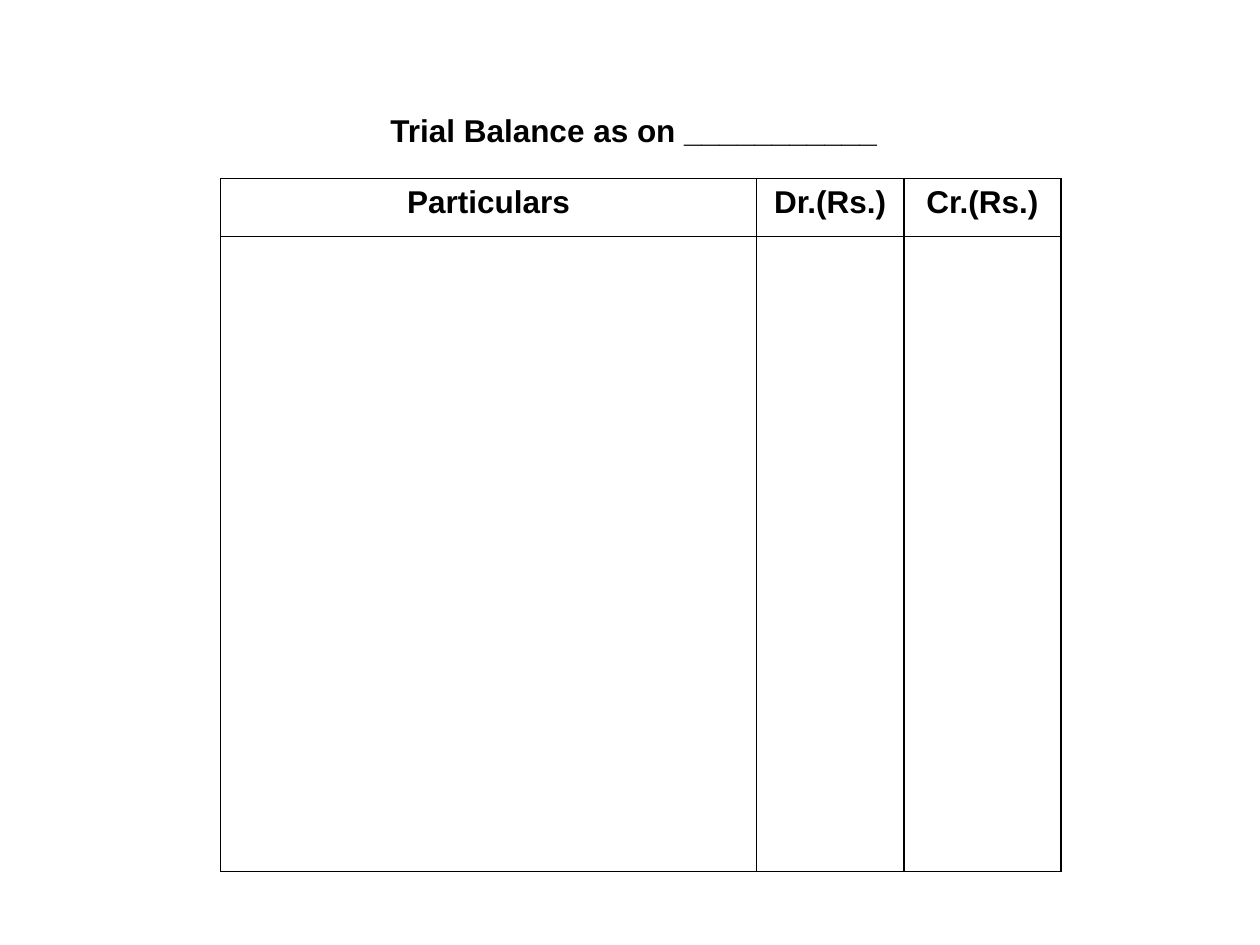
import pptx
import pptx.dml.color
import pptx.enum.text
import pptx.oxml
import pptx.oxml.ns
import pptx.util
from pptx.util import Cm

BLACK = pptx.dml.color.RGBColor(0, 0, 0)
FONT = "Arial"
HEADINGS = ["Particulars", "Dr.(Rs.)", "Cr.(Rs.)"]
COLUMN_WIDTHS = [Cm(10.8), Cm(2.97), Cm(3.17)]
ROW_HEIGHTS = [Cm(1.17), Cm(12.8)]


def write_text(frame, text, size=18, bold=True, color=BLACK, align=None):
    para = frame.paragraphs[0]
    para.alignment = align
    span = para.add_run()
    span.text = text
    span.font.name = FONT
    span.font.size = pptx.util.Pt(size)
    span.font.bold = bold
    span.font.color.rgb = color


def set_borders(cell, color=BLACK, points=1):
    properties = cell._tc.get_or_add_tcPr()
    for position, side in enumerate(("lnL", "lnR", "lnT", "lnB")):
        border = pptx.oxml.parse_xml(
            f'<a:{side} {pptx.oxml.ns.nsdecls("a")} w="{pptx.util.Pt(points)}">'
            f'<a:solidFill><a:srgbClr val="{color}"/></a:solidFill></a:{side}>'
        )
        properties.insert(position, border)


def add_title(page, text):
    box = page.shapes.add_textbox(Cm(7.62), Cm(2.12), Cm(10.41), Cm(1.02))
    box.text_frame.word_wrap = False
    box.text_frame.auto_size = pptx.enum.text.MSO_AUTO_SIZE.SHAPE_TO_FIT_TEXT
    write_text(box.text_frame, text)


def add_ledger(page):
    table = page.shapes.add_table(
        len(ROW_HEIGHTS), len(COLUMN_WIDTHS), Cm(4.45), Cm(3.6),
        sum(COLUMN_WIDTHS), sum(ROW_HEIGHTS),
    ).table
    table.first_row = False
    table.horz_banding = False
    for column, width in zip(table.columns, COLUMN_WIDTHS):
        column.width = width
    for row, height in zip(table.rows, ROW_HEIGHTS):
        row.height = height
    for cell in table.iter_cells():
        cell.fill.background()
        set_borders(cell)
    for cell, heading in zip(table.rows[0].cells, HEADINGS):
        write_text(cell.text_frame, heading, align=pptx.enum.text.PP_ALIGN.CENTER)


def main():
    deck = pptx.Presentation()
    deck.slide_width = Cm(25.4)
    deck.slide_height = Cm(19.05)
    page = deck.slides.add_slide(deck.slide_layouts[6])

    # Empty trial balance with its heading row
    add_ledger(page)

    # Title above the table
    add_title(page, "Trial Balance as on ___________")

    deck.save("out.pptx")


if __name__ == "__main__":
    main()
